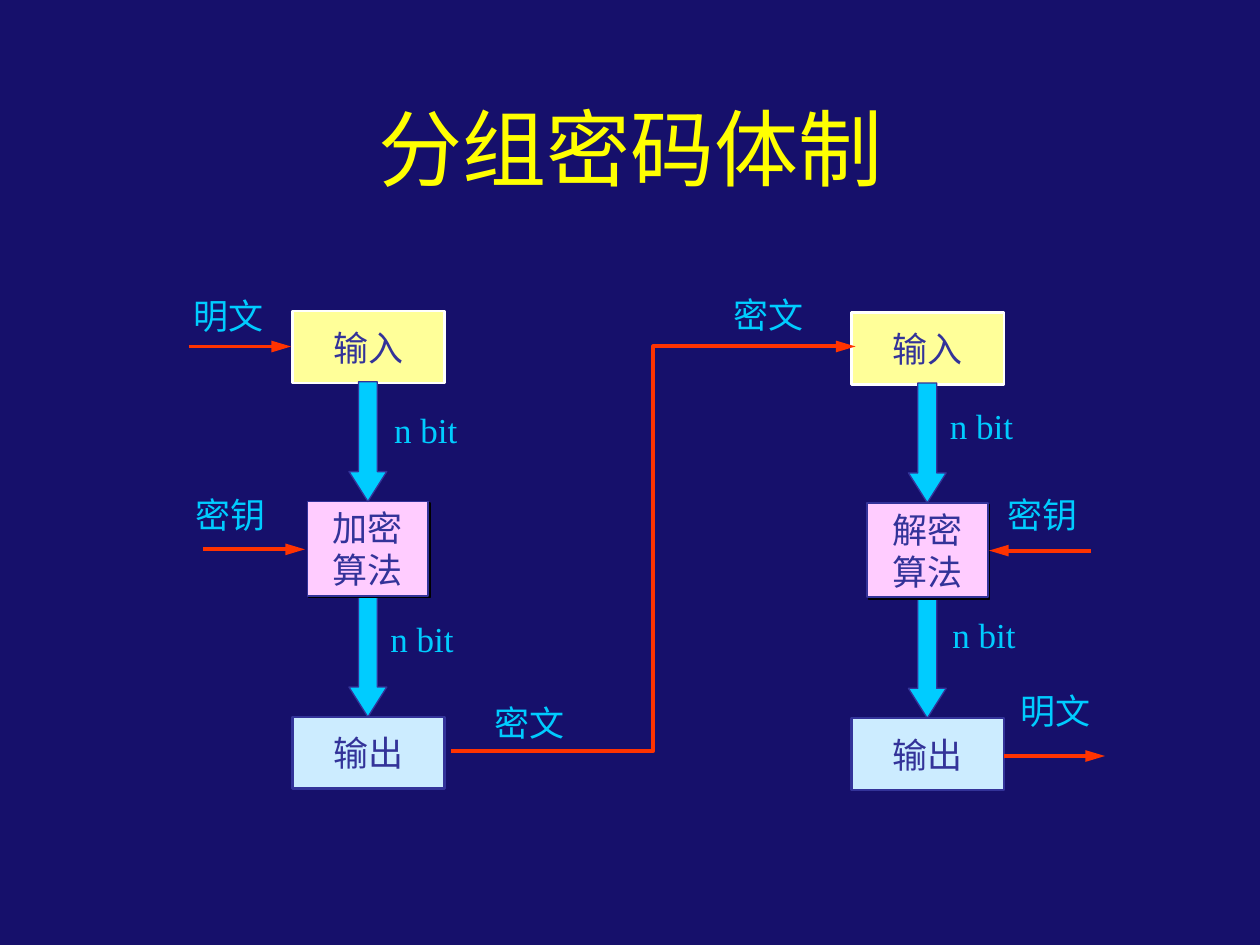
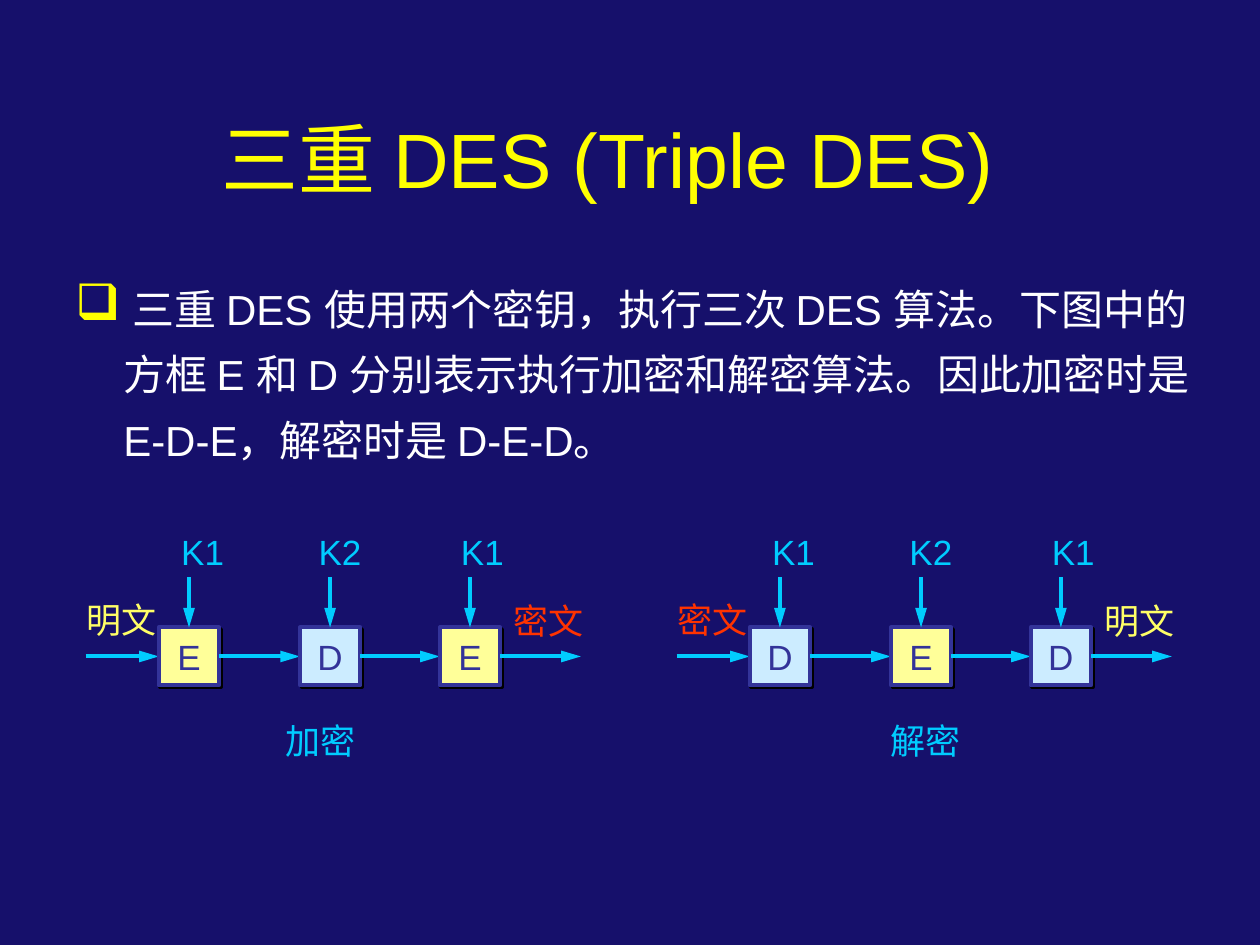
from typing import NamedTuple

from lxml.etree import SubElement
from pptx import Presentation
from pptx.dml.color import RGBColor
from pptx.enum.shapes import MSO_CONNECTOR as CONN, MSO_SHAPE as SHAPE
from pptx.enum.text import MSO_ANCHOR as ANCHOR, MSO_AUTO_SIZE as AUTO, PP_ALIGN as ALIGN
from pptx.oxml.ns import qn
from pptx.util import Emu, Pt

PX = 9144  # 100 px to the inch
COLORS = {
    "navy": "16106B", "title": "FFFF01", "bullet": "FFFF00", "white": "FFFFFF",
    "cyan": "00CCFF", "indigo": "333399", "red": "FF3300", "lemon": "FFFF66",
    "cream": "FFFF99", "ice": "CCECFF", "pink": "FFCCFF", "black": "000000",
}
SERIF, SANS = "Times New Roman", "Arial"
LABEL_H = 44


class Label(NamedTuple):
    text: str
    x: int
    y: int
    w: int = 78
    color: str = "cyan"


class Box(NamedTuple):
    text: str
    x: int
    y: int
    w: int
    h: int
    fill: str
    line: str = "indigo"
    line_pt: float = 1.5
    shadow: bool = False


class Arrow(NamedTuple):
    x1: int
    y1: int
    x2: int
    y2: int
    color: str = "red"
    kind: CONN = CONN.STRAIGHT


class Chain(NamedTuple):
    x: int
    stages: str
    source: str
    result: str
    caption: str
    caption_x: int


def px(*lengths: int) -> list[Emu]:
    return [Emu(n * PX) for n in lengths]


def rgb(name: str) -> RGBColor:
    return RGBColor.from_string(COLORS[name])


def add_run(p, text: str, size: int, font: str, color: str) -> None:
    r = p.add_run()
    r.text = text
    r.font.size = Pt(size)
    r.font.name = font
    r.font.color.rgb = rgb(color)


def add_slide(prs):
    s = prs.slides.add_slide(prs.slide_layouts[6])
    s.background.fill.solid()
    s.background.fill.fore_color.rgb = rgb("navy")
    return s


def add_title(s, text: str, x: int, y: int, w: int, size: int) -> None:
    tf = s.shapes.add_textbox(*px(x, y, w, 100)).text_frame
    tf.word_wrap = True
    tf.vertical_anchor = ANCHOR.MIDDLE
    p = tf.paragraphs[0]
    p.alignment = ALIGN.CENTER
    add_run(p, text, size, SANS, "title")


def add_label(s, label: Label, font: str) -> None:
    tf = s.shapes.add_textbox(*px(label.x, label.y, label.w, LABEL_H)).text_frame
    tf.word_wrap = False
    tf.auto_size = AUTO.SHAPE_TO_FIT_TEXT
    add_run(tf.paragraphs[0], label.text, 20, font, label.color)


def add_solid(s, kind: SHAPE, x: int, y: int, w: int, h: int,
              fill: str, line: str, line_pt: float):
    """Add a filled and outlined preset shape without a shadow."""
    sp = s.shapes.add_shape(kind, *px(x, y, w, h))
    sp.shadow.inherit = False
    sp.fill.solid()
    sp.fill.fore_color.rgb = rgb(fill)
    sp.line.color.rgb = rgb(line)
    sp.line.width = Pt(line_pt)
    return sp


def add_hard_shadow(sp) -> None:
    effects = sp._element.spPr.find(qn("a:effectLst"))
    shadow = SubElement(effects, qn("a:outerShdw"), dist=str(Pt(1.4)),
                        dir="2700000", algn="ctr", rotWithShape="0")
    SubElement(shadow, qn("a:srgbClr"), val=COLORS["black"])


def add_box(s, box: Box, font: str) -> None:
    sp = add_solid(s, SHAPE.RECTANGLE, *box[1:8])
    if box.shadow:
        add_hard_shadow(sp)
    tf = sp.text_frame
    tf.word_wrap = False
    tf.vertical_anchor = ANCHOR.MIDDLE
    for i, text in enumerate(box.text.split("\n")):
        p = tf.add_paragraph() if i else tf.paragraphs[0]
        p.alignment = ALIGN.CENTER
        add_run(p, text, 20, font, "indigo")


def add_block_arrow(s, x: int, y: int) -> None:
    sp = add_solid(s, SHAPE.DOWN_ARROW, x, y, 30, 95, "cyan", "indigo", 0.75)
    sp.adjustments[1] = 0.79


def add_arrow(s, arrow: Arrow) -> None:
    c = s.shapes.add_connector(arrow.kind, *px(*arrow[:4]))
    c.line.color.rgb = rgb(arrow.color)
    c.line.width = Pt(2.25)
    SubElement(c.line._get_or_add_ln(), qn("a:tailEnd"), type="triangle", w="med", len="lg")
    SubElement(c._element.spPr, qn("a:effectLst"))


def add_bullet_text(s, text: str, x: int, y: int, w: int, h: int) -> None:
    tf = s.shapes.add_textbox(*px(x, y, w, h)).text_frame
    tf.word_wrap = True
    p = tf.paragraphs[0]
    p.line_spacing = 1.3
    pPr = p._p.get_or_add_pPr()
    pPr.set("marL", str(38 * PX))
    pPr.set("indent", str(-38 * PX))
    SubElement(SubElement(pPr, qn("a:buClr")), qn("a:srgbClr"), val=COLORS["bullet"])
    SubElement(pPr, qn("a:buSzPct"), val="120000")
    SubElement(pPr, qn("a:buChar"), char="❑")
    add_run(p, text, 24, SANS, "white")


def add_cipher_column(s, x: int, y: int, algorithm: str) -> None:
    """Stack input, algorithm and output, joined by block arrows."""
    add_block_arrow(s, x + 45, y + 227)
    for box in (
        Box("输入", x, y, 121, 57, "cream", "white"),
        Box("输出", x, y + 322, 121, 57, "ice"),
        Box(algorithm, x + 12, y + 151, 96, 75, "pink", line_pt=1, shadow=True),
    ):
        add_box(s, box, SERIF)
    add_block_arrow(s, x + 45, y + 56)


def build_block_cipher(prs) -> None:
    s = add_slide(prs)
    add_title(s, "分组密码体制 ", 83, 67, 850, 48)
    add_cipher_column(s, 232, 247, "加密\n算法")
    add_cipher_column(s, 676, 248, "解密\n算法")
    for arrow in (
        Arrow(150, 275, 231, 275),
        Arrow(161, 436, 242, 436),
        Arrow(797, 600, 877, 600),
        Arrow(866, 437, 785, 437),
        Arrow(358, 596, 679, 275, kind=CONN.ELBOW),
    ):
        add_arrow(s, arrow)
    for label in (
        Label("明文", 144, 229), Label("密钥", 145, 387),
        Label("密钥", 790, 387), Label("明文", 800, 542),
        Label("密文", 383, 552), Label("密文", 572, 228),
        Label("n bit", 303, 319, 70), Label("n bit", 300, 485, 70),
        Label("n bit", 744, 316, 70), Label("n bit", 746, 482, 70),
    ):
        add_label(s, label, SERIF)


def add_chain(s, chain: Chain) -> None:
    """Draw three keyed stages in a row with their entry, exit and caption."""
    fills = {"E": "cream", "D": "ice"}
    colors = {"明文": "lemon", "密文": "red"}
    keys = (("K1", 8), ("K2", 117), ("K1", 230))
    lefts = [chain.x + (223 * i + 1) // 2 for i in range(3)]
    ends = lefts[1:] + [lefts[-1] + 112]
    flow_y, box_y, box_w = 521, 498, 48

    add_arrow(s, Arrow(chain.x - 58, flow_y, chain.x, flow_y, "cyan"))
    for stage, (key, key_dx), left, end in zip(chain.stages, keys, lefts, ends):
        add_box(s, Box(stage, left, box_y, box_w, 46, fills[stage],
                       line_pt=2.25, shadow=True), SANS)
        add_arrow(s, Arrow(left + box_w, flow_y, end, flow_y, "cyan"))
        mid = left + box_w // 2
        add_arrow(s, Arrow(mid, 458, mid, box_y, "cyan"))
        add_label(s, Label(key, chain.x + key_dx, 416, 54), SANS)
    for label in (
        Label(chain.source, chain.x - 67, 470, color=colors[chain.source]),
        Label(chain.result, chain.x + 272, 471, color=colors[chain.result]),
        Label(chain.caption, chain.caption_x, 566),
    ):
        add_label(s, label, SANS)


def build_triple_des(prs) -> None:
    s = add_slide(prs)
    add_title(s, "三重 DES (Triple DES) ", 108, 75, 766, 44)
    add_bullet_text(
        s,
        " 三重 DES 使用两个密钥，执行三次 DES 算法。下图中的方框 E 和 D "
        "分别表示执行加密和解密算法。因此加密时是 E-D-E，解密时是 D-E-D。",
        50, 208, 908, 210,
    )
    add_chain(s, Chain(126, "EDE", "明文", "密文", "加密", 217))
    add_chain(s, Chain(595, "DED", "密文", "明文", "解密", 697))


def main() -> None:
    prs = Presentation()
    prs.slide_width, prs.slide_height = px(1000, 750)
    build_block_cipher(prs)
    build_triple_des(prs)
    prs.save("out.pptx")


if __name__ == "__main__":
    main()
